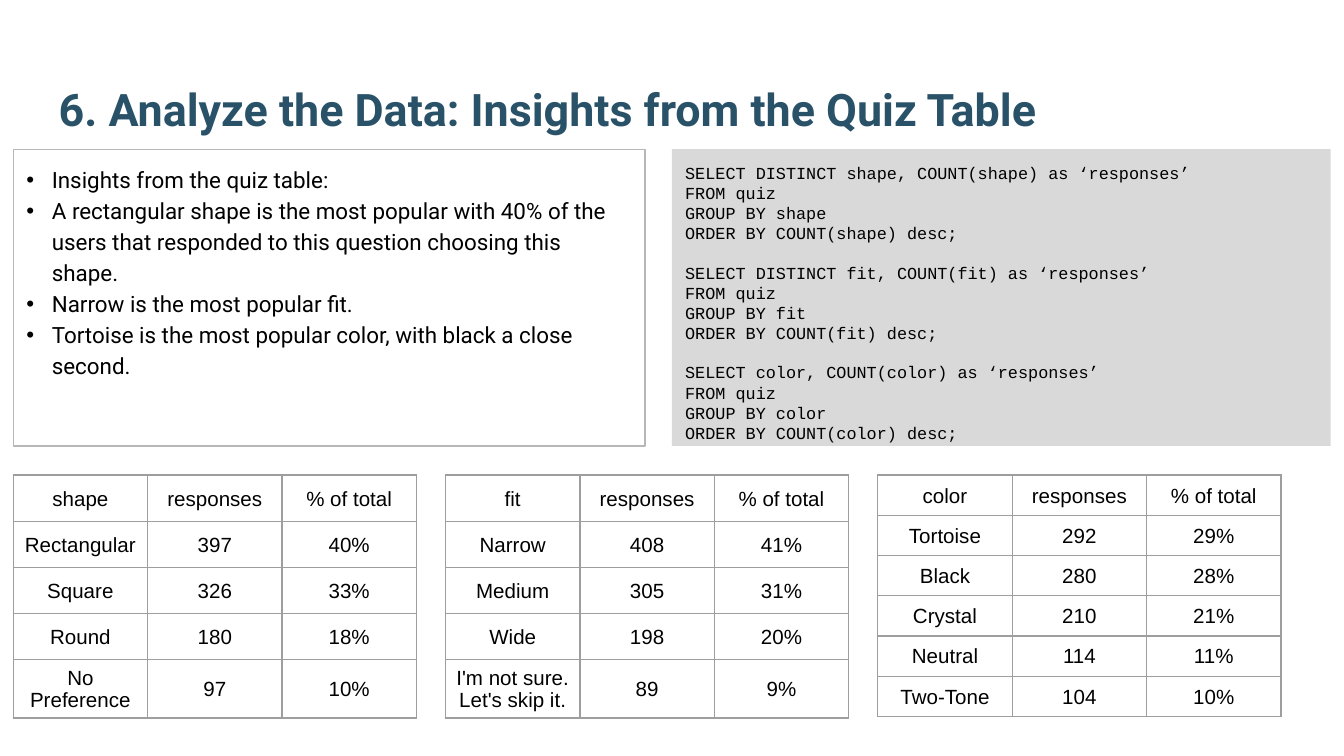
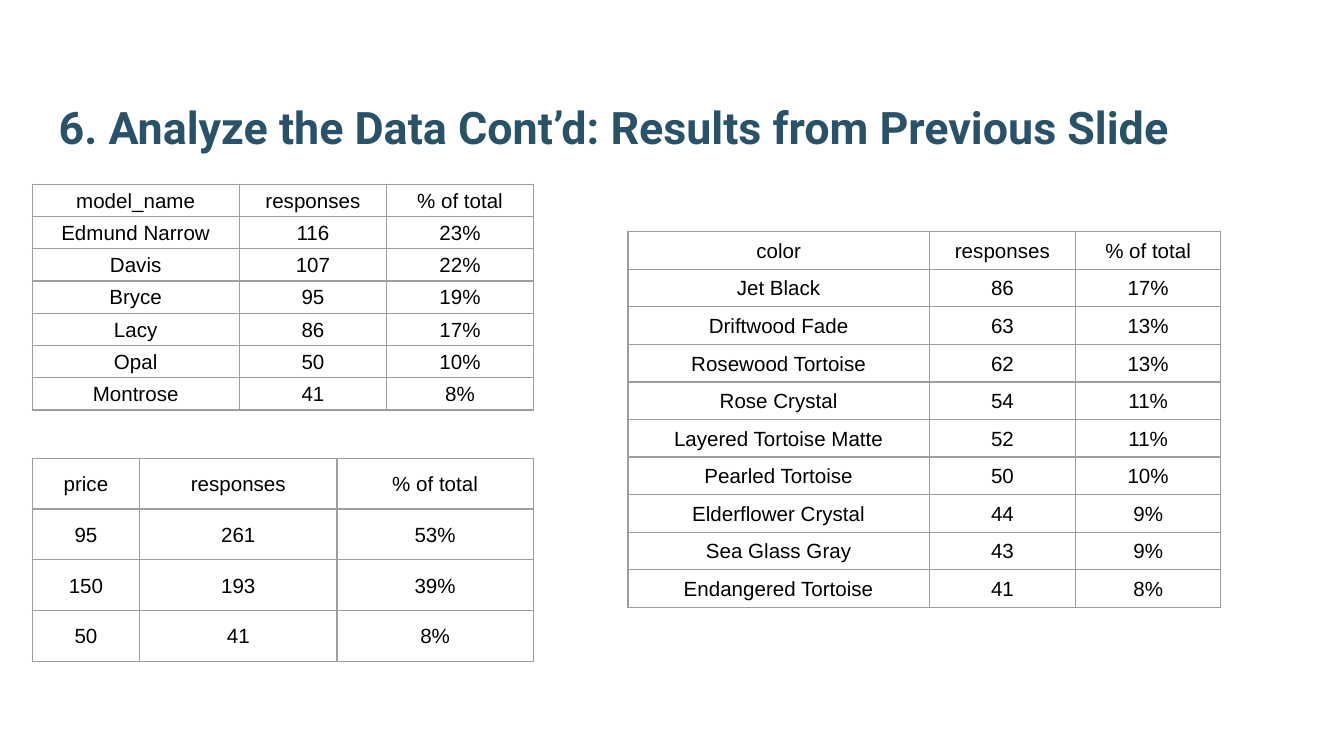
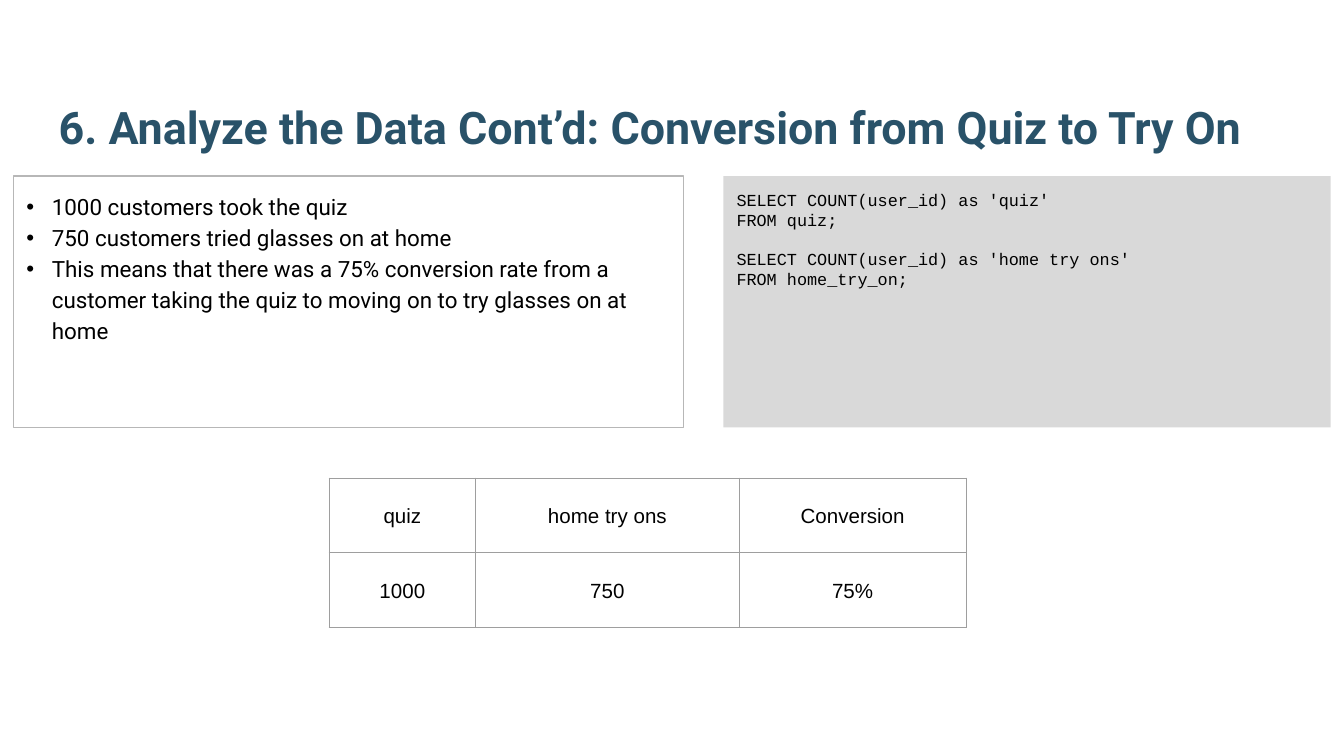
from dataclasses import dataclass

import pptx
import pptx.dml.color
import pptx.enum.shapes
import pptx.enum.text
import pptx.oxml
import pptx.oxml.ns
import pptx.presentation
import pptx.slide
import pptx.text.text
import pptx.util

Cm = pptx.util.Cm
Pt = pptx.util.Pt
ALIGN = pptx.enum.text.PP_ALIGN
ANCHOR = pptx.enum.text.MSO_ANCHOR

COLORS = {
    "background": "FFFFFF",
    "title": "295269",
    "text": "000000",
    "panel_line": "B7B7B7",
    "code_fill": "D9D9D9",
    "grid": "9E9E9E",
}
LINE_WIDTH = Pt(0.75)
INSET = 0.25
PANEL_LEFT, PANEL_RIGHT = 0.25, 25.15
TITLE_LEFT, TITLE_HEIGHT = 0.86, 2.34
TITLE_AND_BODY, TITLE_ONLY = 1, 5
SHARE_HEADER = ("responses", "% of total")


@dataclass
class Title:
    text: str
    top: float = 0.81
    width: float = 23.67


@dataclass
class Panels:
    """Bullets on the left and SQL queries on the right, at one height."""
    top: float
    height: float
    bullets_width: float
    code_left: float
    bullets: list[str]
    queries: list[str]


@dataclass
class Grid:
    left: float
    top: float
    cols: list[float]
    rows: list[float]
    cells: list[tuple[str, ...]]


def rgb(name: str) -> pptx.dml.color.RGBColor:
    return pptx.dml.color.RGBColor.from_string(COLORS[name])


def style_runs(p: pptx.text.text._Paragraph, font: str, size: float,
               color: str = "text", bold: bool = False) -> None:
    for r in p.runs:
        r.font.name = font
        r.font.size = Pt(size)
        r.font.bold = bold
        r.font.color.rgb = rgb(color)


def set_frame(tf: pptx.text.text.TextFrame, anchor: ANCHOR) -> None:
    tf.word_wrap = True
    tf.auto_size = pptx.enum.text.MSO_AUTO_SIZE.NONE
    tf.vertical_anchor = anchor
    tf.margin_left = tf.margin_right = Cm(INSET)
    tf.margin_top = tf.margin_bottom = Cm(INSET)


def place(sp, left: float, top: float, width: float, height: float) -> None:
    sp.left, sp.top, sp.width, sp.height = map(Cm, (left, top, width, height))


def add_bullet(p: pptx.text.text._Paragraph) -> None:
    pPr = p._p.get_or_add_pPr()
    pPr.set("marL", str(Cm(0.48)))
    pPr.set("indent", str(-Cm(0.48)))
    ns = pptx.oxml.ns.nsdecls("a")
    for xml in (
        f'<a:buClr {ns}><a:srgbClr val="{COLORS["text"]}"/></a:buClr>',
        f'<a:buFont {ns} typeface="Arial"/>',
        f'<a:buChar {ns} char="•"/>',
    ):
        pPr.append(pptx.oxml.parse_xml(xml))


def add_slide(prs: pptx.presentation.Presentation, title: Title,
              layout: int) -> pptx.slide.Slide:
    s = prs.slides.add_slide(prs.slide_layouts[layout])
    s.background.fill.solid()
    s.background.fill.fore_color.rgb = rgb("background")
    sp = s.shapes.title
    place(sp, TITLE_LEFT, title.top, title.width, TITLE_HEIGHT)
    tf = sp.text_frame
    tf.text = title.text
    set_frame(tf, ANCHOR.BOTTOM)
    p = tf.paragraphs[0]
    p.alignment = ALIGN.LEFT
    style_runs(p, "Roboto", 24, "title", bold=True)
    return s


def fill_bullets(s: pptx.slide.Slide, panels: Panels) -> None:
    sp = s.placeholders[1]
    place(sp, PANEL_LEFT, panels.top, panels.bullets_width, panels.height)
    sp.line.color.rgb = rgb("panel_line")
    sp.line.width = LINE_WIDTH
    tf = sp.text_frame
    tf.text = "\n".join(panels.bullets)
    set_frame(tf, ANCHOR.TOP)
    for p in tf.paragraphs:
        p.line_spacing = 1.15
        p.space_before = Pt(0)
        add_bullet(p)
        style_runs(p, "Roboto", 12)


def add_code(s: pptx.slide.Slide, panels: Panels) -> None:
    sp = s.shapes.add_shape(
        pptx.enum.shapes.MSO_SHAPE.RECTANGLE,
        Cm(panels.code_left), Cm(panels.top),
        Cm(PANEL_RIGHT - panels.code_left), Cm(panels.height))
    sp.shadow.inherit = False
    sp.fill.solid()
    sp.fill.fore_color.rgb = rgb("code_fill")
    sp.line.fill.background()
    tf = sp.text_frame
    tf.text = "\n".join(panels.queries)
    set_frame(tf, ANCHOR.TOP)
    for i, p in enumerate(tf.paragraphs):
        p.alignment = ALIGN.LEFT
        if i and p.text.startswith("SELECT"):
            p.space_before = Pt(10.2)
        style_runs(p, "Courier New", 9)


def add_panels(s: pptx.slide.Slide, panels: Panels) -> None:
    fill_bullets(s, panels)
    add_code(s, panels)


def add_borders(cell) -> None:
    tcPr = cell._tc.get_or_add_tcPr()
    ns = pptx.oxml.ns.nsdecls("a")
    for i, side in enumerate(("lnL", "lnR", "lnT", "lnB")):
        tcPr.insert(i, pptx.oxml.parse_xml(
            f'<a:{side} {ns} w="{LINE_WIDTH}"><a:solidFill>'
            f'<a:srgbClr val="{COLORS["grid"]}"/></a:solidFill></a:{side}>'))


def add_grid(s: pptx.slide.Slide, grid: Grid) -> None:
    table = s.shapes.add_table(
        len(grid.rows), len(grid.cols), Cm(grid.left), Cm(grid.top),
        Cm(sum(grid.cols)), Cm(sum(grid.rows))).table
    table.first_row = table.horz_banding = False
    for col, width in zip(table.columns, grid.cols):
        col.width = Cm(width)
    for row, height, texts in zip(table.rows, grid.rows, grid.cells):
        row.height = Cm(height)
        for cell, text in zip(row.cells, texts):
            cell.text = text
            cell.fill.background()
            cell.vertical_anchor = ANCHOR.MIDDLE
            cell.margin_left = cell.margin_right = cell.margin_top = Cm(0.03)
            cell.margin_bottom = 0
            add_borders(cell)
            p = cell.text_frame.paragraphs[0]
            p.alignment = ALIGN.CENTER
            style_runs(p, "Arial", 11)


def build_quiz_insights(prs: pptx.presentation.Presentation) -> None:
    s = add_slide(prs, Title("6. Analyze the Data: Insights from the Quiz Table",
                             top=0.48), TITLE_AND_BODY)
    add_panels(s, Panels(
        top=2.82, height=5.61, bullets_width=11.94, code_left=12.7,
        bullets=[
            "Insights from the quiz table:",
            "A rectangular shape is the most popular with 40% of the users "
            "that responded to this question choosing this shape.",
            "Narrow is the most popular fit.",
            "Tortoise is the most popular color, with black a close second.",
        ],
        queries=[
            f"SELECT {column}, COUNT({name}) as ‘responses’\nFROM quiz\n"
            f"GROUP BY {name}\nORDER BY COUNT({name}) desc;"
            for column, name in (("DISTINCT shape", "shape"),
                                 ("DISTINCT fit", "fit"), ("color", "color"))
        ]))
    tall_last = [0.87] * 4 + [1.11]
    answers = [
        (tall_last, [
            ("shape", *SHARE_HEADER),
            ("Rectangular", "397", "40%"),
            ("Square", "326", "33%"),
            ("Round", "180", "18%"),
            ("No Preference", "97", "10%"),
        ]),
        (tall_last, [
            ("fit", *SHARE_HEADER),
            ("Narrow", "408", "41%"),
            ("Medium", "305", "31%"),
            ("Wide", "198", "20%"),
            ("I'm not sure. Let's skip it.", "89", "9%"),
        ]),
        ([0.76] * 6, [
            ("color", *SHARE_HEADER),
            ("Tortoise", "292", "29%"),
            ("Black", "280", "28%"),
            ("Crystal", "210", "21%"),
            ("Neutral", "114", "11%"),
            ("Two-Tone", "104", "10%"),
        ]),
    ]
    for i, (rows, cells) in enumerate(answers):
        add_grid(s, Grid(PANEL_LEFT + i * 8.17, 8.98, [2.54] * 3, rows, cells))


def build_purchase_results(prs: pptx.presentation.Presentation) -> None:
    s = add_slide(prs, Title("6. Analyze the Data Cont’d: Results from Previous Slide",
                             width=22.53), TITLE_ONLY)
    add_grid(s, Grid(0.61, 3.48, [3.91, 2.79, 2.77], [0.61] * 7, [
        ("model_name", *SHARE_HEADER),
        ("Edmund Narrow", "116", "23%"),
        ("Davis", "107", "22%"),
        ("Bryce", "95", "19%"),
        ("Lacy", "86", "17%"),
        ("Opal", "50", "10%"),
        ("Montrose", "41", "8%"),
    ]))
    add_grid(s, Grid(11.87, 4.38, [5.69, 2.77, 2.74], [0.71] * 10, [
        ("color", *SHARE_HEADER),
        ("Jet Black", "86", "17%"),
        ("Driftwood Fade", "63", "13%"),
        ("Rosewood Tortoise", "62", "13%"),
        ("Rose Crystal", "54", "11%"),
        ("Layered Tortoise Matte", "52", "11%"),
        ("Pearled Tortoise", "50", "10%"),
        ("Elderflower Crystal", "44", "9%"),
        ("Sea Glass Gray", "43", "9%"),
        ("Endangered Tortoise", "41", "8%"),
    ]))
    add_grid(s, Grid(0.61, 8.66, [2.03, 3.73, 3.71], [0.96] * 4, [
        ("price", *SHARE_HEADER),
        ("95", "261", "53%"),
        ("150", "193", "39%"),
        ("50", "41", "8%"),
    ]))


def build_conversion(prs: pptx.presentation.Presentation) -> None:
    s = add_slide(prs, Title("6. Analyze the Data Cont’d: Conversion from Quiz to Try On"),
                  TITLE_AND_BODY)
    add_panels(s, Panels(
        top=3.33, height=4.75, bullets_width=12.67, code_left=13.67,
        bullets=[
            "1000 customers took the quiz",
            "750 customers tried glasses on at home",
            "This means that there was a 75% conversion rate from a customer "
            "taking the quiz to moving on to try glasses on at home",
        ],
        queries=[
            "SELECT COUNT(user_id) as 'quiz'\nFROM quiz;",
            "SELECT COUNT(user_id) as 'home try ons'\nFROM home_try_on;",
        ]))
    add_grid(s, Grid(6.22, 9.04, [2.77, 4.98, 4.29], [1.41] * 2, [
        ("quiz", "home try ons", "Conversion"),
        ("1000", "750", "75%"),
    ]))


def main() -> None:
    prs = pptx.Presentation()
    prs.slide_width, prs.slide_height = Cm(25.4), Cm(14.29)
    build_quiz_insights(prs)
    build_purchase_results(prs)
    build_conversion(prs)
    prs.save("out.pptx")


if __name__ == "__main__":
    main()
